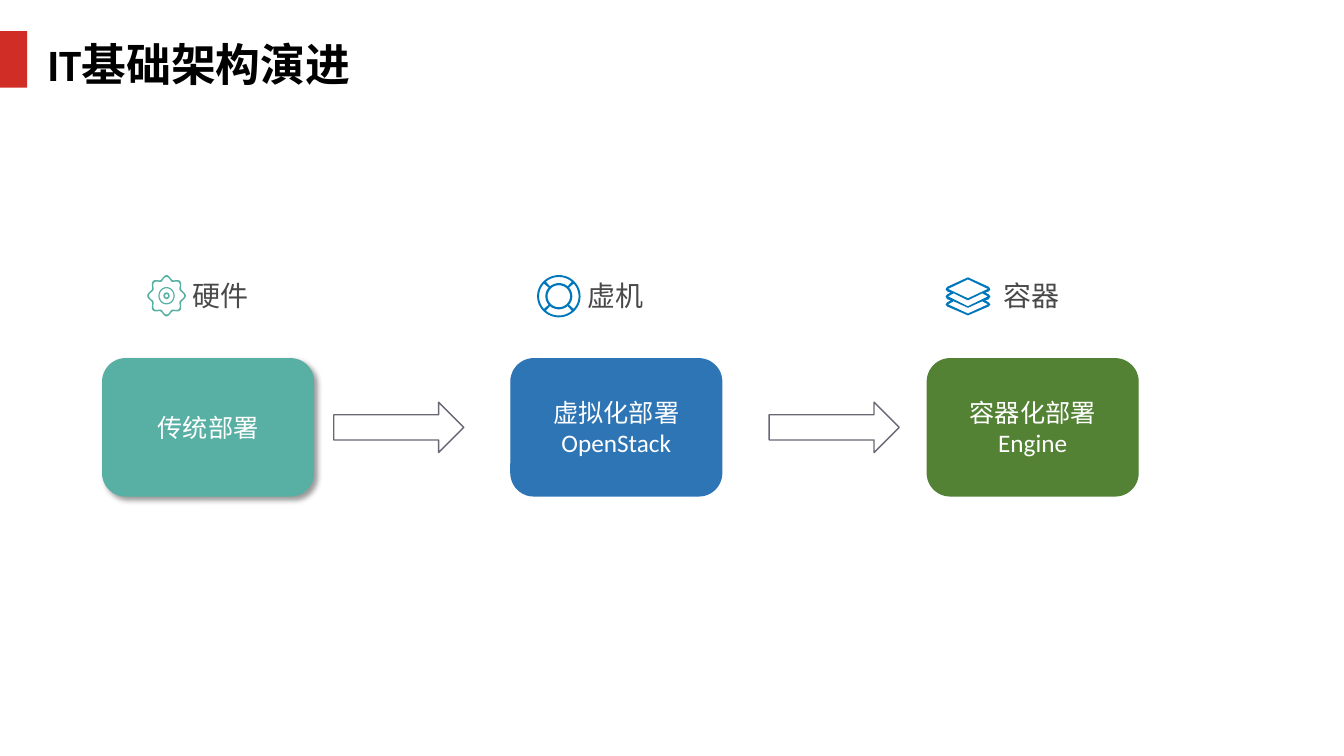
from math import cos, pi, sin

from lxml.etree import SubElement
from pptx import Presentation
from pptx.dml.color import RGBColor
from pptx.enum.shapes import MSO_SHAPE as SHAPE
from pptx.enum.text import MSO_ANCHOR as ANCHOR, MSO_AUTO_SIZE as AUTO, PP_ALIGN as ALIGN
from pptx.oxml.ns import qn
from pptx.util import Pt

COLORS = {
    "title": "000000", "red": "D02D27", "white": "FFFFFF", "outline": "696774",
    "teal": "58AFA3", "blue": "2E75B6", "green": "548235", "icon": "0077BB",
    "label": "4A4949", "shadow": "000000",
}


def rgb(name):
    return RGBColor.from_string(COLORS[name])


def set_frame(tf, margin_x, margin_y, anchor):
    tf.word_wrap = True
    tf.auto_size = AUTO.NONE
    tf.vertical_anchor = anchor
    tf.margin_left = tf.margin_right = Pt(margin_x)
    tf.margin_top = tf.margin_bottom = Pt(margin_y)


def add_run(p, text, size, font, color, bold=False):
    r = p.add_run()
    r.text = text
    r.font.size = Pt(size)
    r.font.name = font
    r.font.bold = bold
    r.font.color.rgb = rgb(color)


def add_block(s, kind, x, y, w, h, fill, line=None):
    sp = s.shapes.add_shape(kind, Pt(x), Pt(y), Pt(w), Pt(h))
    sp.shadow.inherit = False
    sp.fill.solid()
    sp.fill.fore_color.rgb = rgb(fill)
    if line:
        sp.line.color.rgb = rgb(line)
        sp.line.width = Pt(1)
    else:
        sp.line.fill.background()
    return sp


def add_shadow(sp):
    effects = sp._element.spPr.find(qn("a:effectLst"))
    outer = SubElement(effects, qn("a:outerShdw"), blurRad=str(Pt(4)), dist=str(Pt(3)),
                       dir="2700000", algn="tl", rotWithShape="0")
    color = SubElement(outer, qn("a:srgbClr"), val=COLORS["shadow"])
    SubElement(color, qn("a:alpha"), val="40000")


def arc(radius, start=0, end=2 * pi, steps=48):
    angles = [start + (end - start) * i / steps for i in range(steps + 1)]
    return [(radius * cos(a), radius * sin(a)) for a in angles]


def mirror(half):
    return half + [(-x, y) for x, y in reversed(half) if x]


def gear_contours():
    def cog(middle):
        radii = [(middle + 0.09 * cos(8 * a), a) for a in (pi * i / 60 for i in range(120))]
        return [(r * cos(a), r * sin(a)) for r, a in radii]

    return [cog(0.91), cog(0.82)] + [arc(r) for r in (0.42, 0.36, 0.16, 0.08)]


def lifebuoy_contours():
    gap = 0.07
    contours = [arc(1), arc(0.52)]
    for quarter in range(4):
        start = quarter * pi / 2 - pi / 4 + gap
        end = start + pi / 2 - 2 * gap
        contours.append(arc(0.62, start, end, 16) + arc(0.91, end, start, 16))
    return contours


def layers_contours():
    halves = [
        [(0, -1), (0.93, -0.5), (1, -0.37), (0.93, -0.26), (0.77, -0.2), (0.93, -0.1),
         (1, 0), (0.93, 0.15), (0.77, 0.21), (0.93, 0.32), (1, 0.42), (0.93, 0.53), (0, 1)],
        [(0, -0.89), (0.89, -0.39), (0, 0.1)],
        [(0, 0.21), (0.64, -0.16), (0.89, 0), (0, 0.52)],
        [(0, 0.6), (0.64, 0.26), (0.89, 0.42), (0, 0.9)],
    ]
    return [mirror(half) for half in halves]


def add_icon(s, contours, x, y, w, h, color):
    def place(point):
        return Pt(x + w * (1 + point[0]) / 2), Pt(y + h * (1 + point[1]) / 2)

    first, *rest = [[place(point) for point in contour] for contour in contours]
    builder = s.shapes.build_freeform(*first[0])
    builder.add_line_segments(first[1:])
    for contour in rest:
        builder.move_to(*contour[0])
        builder.add_line_segments(contour[1:])
    sp = builder.convert_to_shape()
    sp.shadow.inherit = False
    sp.fill.solid()
    sp.fill.fore_color.rgb = rgb(color)
    sp.line.fill.background()


def add_heading(s, x, y, w, h):
    title = s.shapes.title
    title.left, title.top, title.width, title.height = Pt(x + 30.2), Pt(y), Pt(w - 30.2), Pt(h)
    set_frame(title.text_frame, 3.6, 3.6, ANCHOR.TOP)
    p = title.text_frame.paragraphs[0]
    p.alignment = ALIGN.LEFT
    add_run(p, "IT基础架构演进", 32, "Calibri", "title", True)
    add_block(s, SHAPE.RECTANGLE, x, y, 19.5, 40.3, "red")


def add_stage(s, x, y, w, h, stage):
    card = add_block(s, SHAPE.ROUNDED_RECTANGLE, x, y + 59.8, w, h - 59.8,
                     stage["fill"], stage["fill"])
    if stage.get("shadow"):
        add_shadow(card)
    tf = card.text_frame
    set_frame(tf, 3.6, 3.6, ANCHOR.MIDDLE)
    for i, (text, font) in enumerate(stage["lines"]):
        p = tf.add_paragraph() if i else tf.paragraphs[0]
        p.alignment = ALIGN.CENTER
        add_run(p, text, 18, font, "white")

    icon_x, icon_y, icon_w, icon_h = stage["icon_box"]
    add_icon(s, stage["icon"], x + icon_x, y + icon_y, icon_w, icon_h, stage["icon_color"])
    label = s.shapes.add_textbox(Pt(x + stage["label_x"]), Pt(y), Pt(51.8), Pt(29.5))
    set_frame(label.text_frame, 5, 2.9, ANCHOR.MIDDLE)
    add_run(label.text_frame.paragraphs[0], stage["label"], 20, "Noto Sans CJK SC", "label")


def add_evolution(s, x, y, w, h):
    stages = [
        {"x": 0, "fill": "teal", "shadow": True, "lines": [("传统部署", "Roboto")],
         "label": "硬件", "label_x": 59, "icon": gear_contours(), "icon_color": "teal",
         "icon_box": (31.8, 0, 27.6, 29.5)},
        {"x": 291.6, "fill": "blue", "lines": [("虚拟化部署", "Roboto"), ("OpenStack", "Calibri")],
         "label": "虚机", "label_x": 49.7, "icon": lifebuoy_contours(), "icon_color": "icon",
         "icon_box": (18.7, 0, 31, 30.2)},
        {"x": 589, "fill": "green", "lines": [("容器化部署", "Roboto"), ("Engine", "Calibri")],
         "label": "容器", "label_x": 49.7, "icon": layers_contours(), "icon_color": "icon",
         "icon_box": (13, 1.6, 32, 27.2)},
    ]
    for arrow_x in (165, 476):
        add_block(s, SHAPE.RIGHT_ARROW, x + arrow_x, y + 90.8, 92.9, 36, "white", "outline")
    for stage in stages:
        add_stage(s, x + stage["x"], y, w - stages[-1]["x"], h, stage)


def main():
    prs = Presentation()
    prs.slide_width, prs.slide_height = Pt(960), Pt(540)
    s = prs.slides.add_slide(prs.slide_layouts[5])
    add_heading(s, 0, 22.3, 258.5, 46)
    add_evolution(s, 73.4, 196.5, 739.5, 157.7)
    prs.save("out.pptx")


if __name__ == "__main__":
    main()
